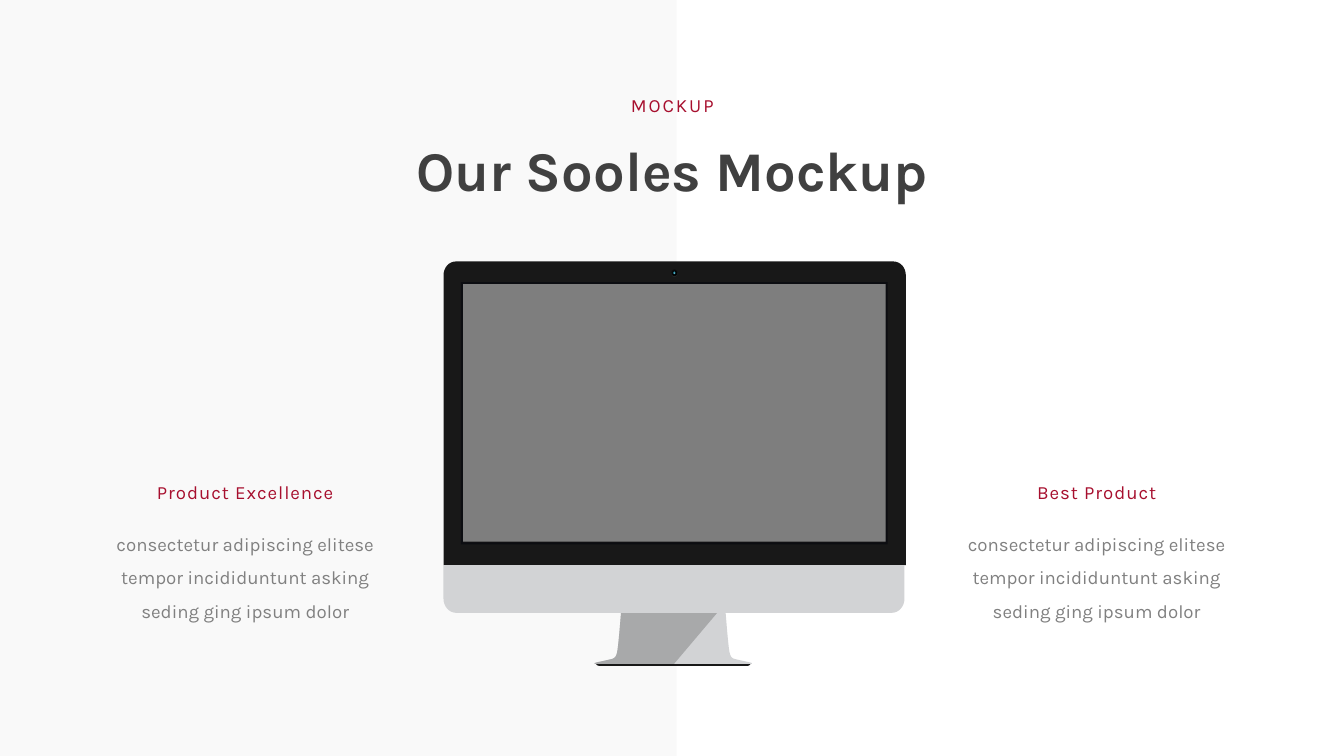
from pptx import Presentation
from pptx.dml.color import RGBColor
from pptx.enum import shapes, text
from pptx.util import Inches, Pt

COLORS = {
    "panel": "F9F9F9", "bezel": "181818", "frame": "0C0D11", "screen": "7E7E7E",
    "metal": "D2D3D5", "shade": "A8A9AA", "rim": "2C2C2C", "ring": "0A0A0A",
    "lens": "000000", "iris": "2C99B4", "glint": "FFFFFF",
    "accent": "A70F2E", "title": "404040", "body": "808080",
}
BODY = "consectetur adipiscing elitese tempor incididuntunt asking seding ging ipsum dolor"
PRESET = shapes.MSO_SHAPE


def curve(*controls, steps=8):
    """Points along a cubic Bezier curve through four control points."""
    points = []
    for step in range(steps + 1):
        t = step / steps
        weights = ((1 - t) ** 3, 3 * t * (1 - t) ** 2, 3 * t * t * (1 - t), t ** 3)
        points.append(tuple(sum(w * c[axis] for w, c in zip(weights, controls))
                            for axis in (0, 1)))
    return points


def mirrored(left_side, center):
    """Close a left side with its reflection about a vertical axis."""
    return left_side + [(2 * center - x, y) for x, y in reversed(left_side)]


class SlideBuilder:
    font = "Karla"

    def __init__(self, slide):
        self.slide = slide
        self.target = slide.shapes

    def start_group(self):
        self.target = self.slide.shapes.add_group_shape().shapes

    def end_group(self):
        self.target = self.slide.shapes

    def paint(self, shape, color):
        shape.shadow.inherit = False
        shape.fill.solid()
        shape.fill.fore_color.rgb = RGBColor.from_string(COLORS[color])
        shape.line.fill.background()
        return shape

    def preset(self, kind, box, color):
        shape = self.target.add_shape(kind, *map(Inches, box))
        return self.paint(shape, color)

    def outline(self, points, color):
        points = [(Inches(x), Inches(y)) for x, y in points]
        builder = self.target.build_freeform(*points[0])
        builder.add_line_segments(points[1:], close=True)
        return self.paint(builder.convert_to_shape(), color)

    def label(self, box, words, color, size=20, bold=False, tracking=0, spacing=None):
        shape = self.target.add_textbox(*map(Inches, box))
        frame = shape.text_frame
        frame.word_wrap = True
        frame.auto_size = text.MSO_AUTO_SIZE.SHAPE_TO_FIT_TEXT
        paragraph = frame.paragraphs[0]
        paragraph.alignment = text.PP_ALIGN.CENTER
        if spacing:
            paragraph.line_spacing = spacing
        run = paragraph.add_run()
        run.text = words
        run.font.name = self.font
        run.font.size = Pt(size)
        run.font.bold = bold
        run.font.color.rgb = RGBColor.from_string(COLORS[color])
        if tracking:
            run._r.get_or_add_rPr().set("spc", str(tracking * 100))


def draw_monitor(builder):
    builder.start_group()

    # Bezel, screen frame and screen
    bezel_side = [(6.6, 8.41)] + curve((6.6, 4.1), (6.6, 3.98), (6.68, 3.89), (6.79, 3.89))
    builder.outline(mirrored(bezel_side, 10.04), "bezel")
    frame = builder.preset(PRESET.FRAME, (6.86, 4.2, 6.35, 3.9), "frame")
    frame.adjustments[0] = 0.03 / 3.9
    builder.preset(PRESET.RECTANGLE, (6.89, 4.23, 6.29, 3.83), "screen")

    # Foot and stand
    foot_side = [(10.02, 9.81), (9.88, 9.8), (9.88, 9.82)]
    foot_side += curve((8.87, 9.87), (8.87, 9.87), (8.87, 9.91), (8.93, 9.91))
    builder.outline(mirrored(foot_side, 10.02), "bezel")
    stand_side = [(9.25, 9.01)]
    stand_side += curve((9.25, 9.01), (9.25, 9.01), (9.21, 9.54), (9.19, 9.67))
    stand_side += curve((9.19, 9.67), (9.17, 9.81), (9.13, 9.8), (9.05, 9.82))
    stand_side += curve((9.05, 9.82), (8.97, 9.84), (8.85, 9.86), (8.85, 9.87))
    stand_side.append((8.85, 9.88))
    builder.outline(mirrored(stand_side, 10.02), "metal")

    # Camera
    for box, color in (
        ((9.99, 4.02, 0.09, 0.1), "rim"),
        ((9.99, 4.01, 0.09, 0.1), "ring"),
        ((10.01, 4.03, 0.06, 0.07), "lens"),
        ((10.02, 4.04, 0.03, 0.04), "iris"),
        ((10.03, 4.06, 0.01, 0.01), "glint"),
    ):
        builder.preset(PRESET.OVAL, box, color)

    # Shaded part of the stand, then the chin
    builder.outline(stand_side + [(10.03, 9.88), (10.74, 9.04), (10.41, 9.02), (10.03, 9.03)],
                    "shade")
    chin_side = [(6.6, 8.41)] + curve((6.6, 8.91), (6.6, 9.02), (6.68, 9.12), (6.79, 9.12))
    builder.outline(mirrored(chin_side, 10.03), "metal")
    builder.end_group()


def main():
    presentation = Presentation()
    presentation.slide_width = Inches(20)
    presentation.slide_height = Inches(11.25)
    builder = SlideBuilder(presentation.slides.add_slide(presentation.slide_layouts[6]))

    # Left background panel
    builder.preset(PRESET.RECTANGLE, (0, 0, 10.07, 11.25), "panel")

    draw_monitor(builder)

    # Heading
    builder.label((4.71, 1.35, 10.59, 0.44), "MOCKUP", "accent", tracking=2)
    builder.label((4.71, 1.96, 10.59, 1.11), "Our Sooles Mockup", "title", size=60, bold=True)

    # Side captions
    for left, heading in ((1.32, "Product Excellence"), (13.99, "Best Product")):
        builder.label((left, 7.1, 4.66, 0.44), heading, "accent", tracking=1)
        builder.label((left, 7.71, 4.66, 1.57), BODY, "body", spacing=1.5)

    presentation.save("out.pptx")


if __name__ == "__main__":
    main()
